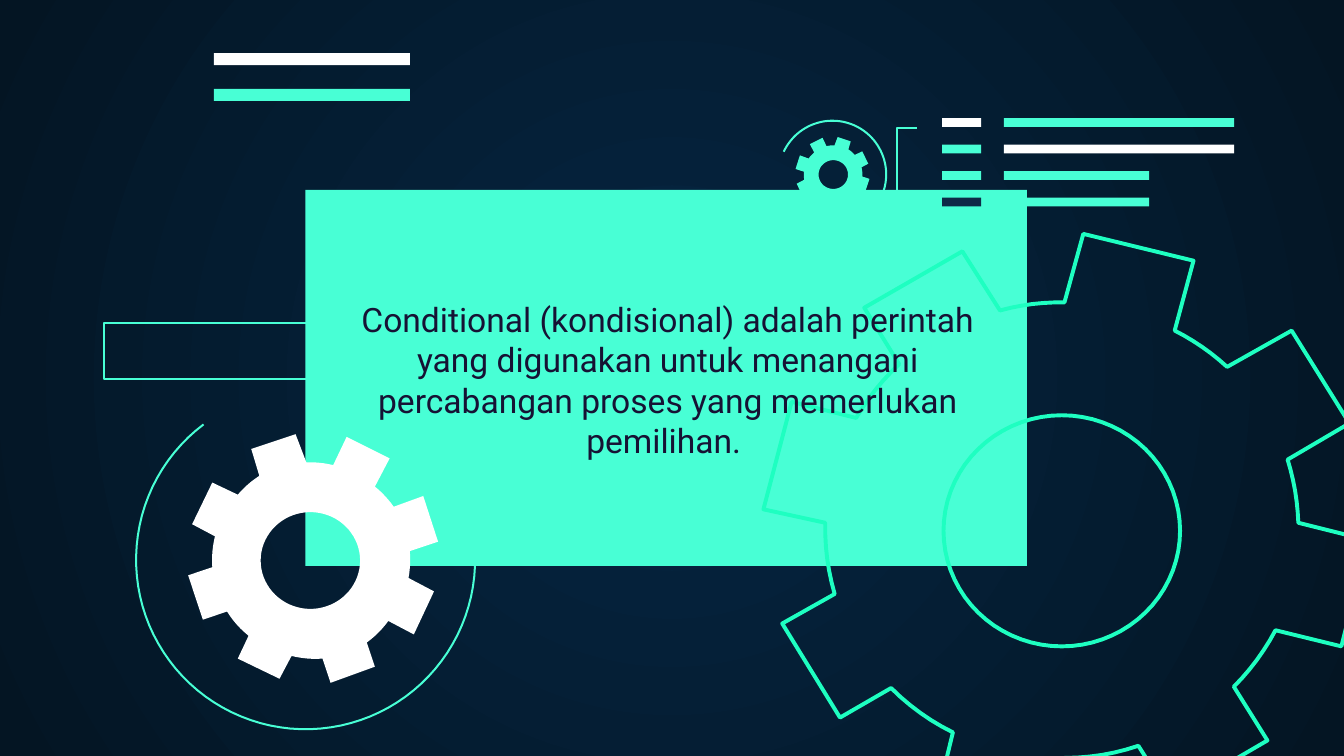
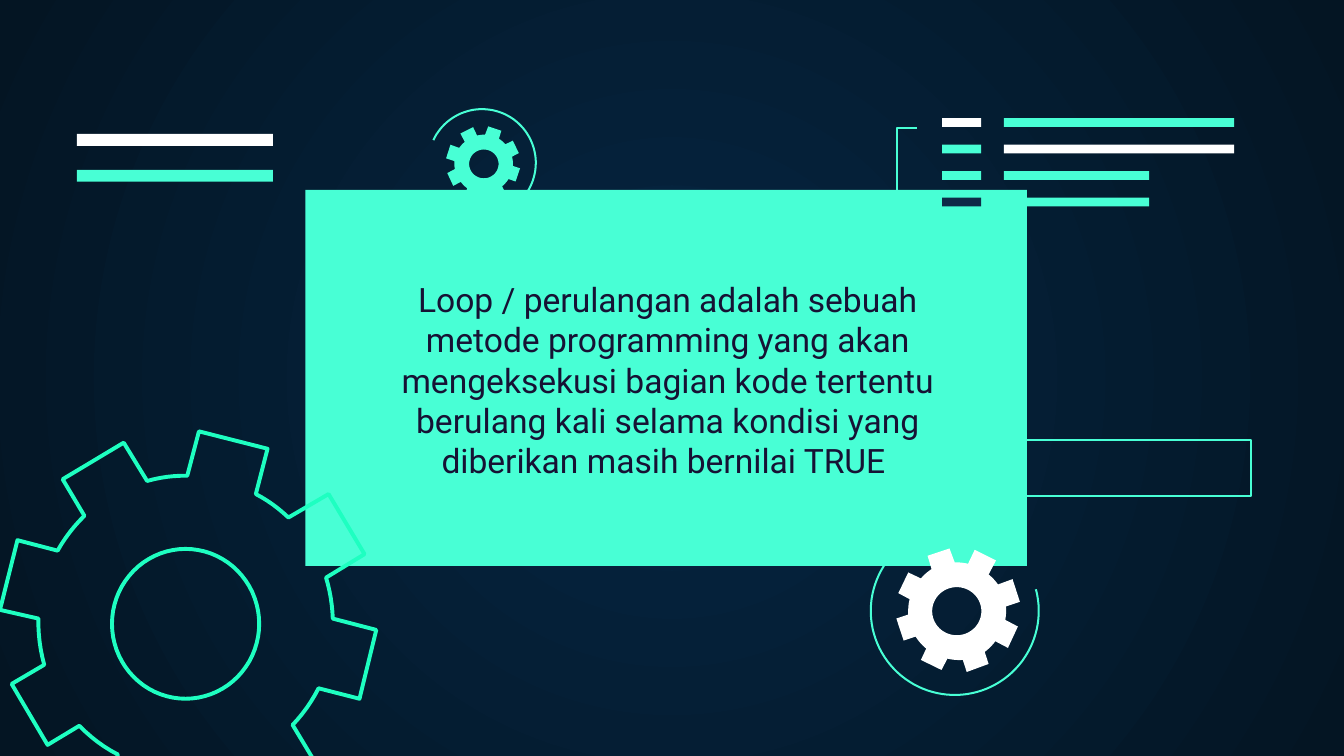
from math import atan2, cos, hypot, pi, radians, sin

from lxml import etree
from pptx import Presentation
from pptx.dml.color import RGBColor
from pptx.enum.shapes import MSO_SHAPE
from pptx.enum.text import MSO_ANCHOR, MSO_AUTO_SIZE, PP_ALIGN
from pptx.oxml.ns import qn
from pptx.util import Pt

RECTANGLE = MSO_SHAPE.RECTANGLE
CENTER, MIDDLE, NO_FIT = PP_ALIGN.CENTER, MSO_ANCHOR.MIDDLE, MSO_AUTO_SIZE.NONE

TEAL = RGBColor(0x48, 0xFF, 0xD5)
GREEN = RGBColor(0x1E, 0xFF, 0xC1)
WHITE = RGBColor(0xFF, 0xFF, 0xFF)
NAVY = RGBColor(0x0E, 0x2A, 0x47)
INK = RGBColor(0x16, 0x12, 0x34)
GLOW = RGBColor(0x05, 0x26, 0x43)
NIGHT = RGBColor(0x04, 0x15, 0x23)
FONT = "Roboto"
THIN, THICK = 1.09, 2.1

# Boxes are (left, top, width, height); arcs are (centre x, centre y, radius).
SLIDES = [
    {
        "text": "Conditional (kondisional) adalah perintah yang digunakan untuk "
                "menangani percabangan proses yang memerlukan pemilihan. ",
        "small_arc": (446, 93.5, 28.8),
        "large_arc": (163.7, 299.9, 90.8),
        "outline_gear": (409, 125.3, 324, 311),
        "white_gear": (100.8, 232.6, 133.9, 133.2),
        "small_gear": (426.2, 73.4, 39.6, 39.6),
        "stripes": (114.6, 28.5),
        "frame": (55.6, 173, 152, 30),
    },
    {
        "text": "Loop / perulangan adalah sebuah metode programming yang akan "
                "mengeksekusi bagian kode tertentu berulang kali selama kondisi "
                "yang diberikan masih bernilai TRUE ",
        "small_arc": (258.3, 87.3, 28.8),
        "large_arc": (511.5, 327.3, 45),
        "outline_gear": (0, 231.1, 201.6, 201.6),
        "white_gear": (480.2, 293.8, 66.2, 66.2),
        "small_gear": (239, 67.7, 39.6, 39.6),
        "stripes": (41.2, 71.8),
        "frame": (518.4, 235.8, 152, 30),
    },
]

PANEL = (163.6, 101.7, 386.6, 201.5)
TEXT_BOX = (185, 115.2, 345.6, 176.4)
BRACKET = [(491.6, 112.1), (480.5, 112.1), (480.5, 68.5), (491.2, 68.5)]
SMALL_ARC_ANGLES, LARGE_ARC_ANGLES = (-155, 96), (-15, 233)

CODE_LEFT, CODE_TOP, CODE_STEP, CODE_HEIGHT = (504.7, 537.8), 63.3, 14.2, 4.7
CODE_ROWS = [  # label colour, line colour, line width
    (WHITE, TEAL, 123.4),
    (TEAL, WHITE, 123.4),
    (TEAL, TEAL, 77.8),
    (NAVY, TEAL, 77.8),
]
LABEL_WIDTH = 20.9
STRIPE_WIDTH, STRIPE_HEIGHT, STRIPE_STEP = 105, 6.4, 19.2

# Each tooth runs root, tip, tip, root; the hole is centre and two radii.
LARGE_GEAR = {
    "size": (450, 432),
    "hole": (222, 221, 88, 86),
    "teeth": [
        [(381, 295), (430, 307), (450, 228), (398, 215)],
        [(390, 168), (436, 141), (393, 72), (345, 99)],
        [(306, 72), (320, 20), (238, 0), (224, 51)],
        [(176, 57), (148, 13), (75, 55), (101, 97)],
        [(69, 137), (21, 125), (0, 205), (46, 215)],
        [(53, 268), (14, 290), (57, 360), (95, 338)],
        [(141, 371), (131, 412), (213, 432), (224, 390)],
        [(279, 381), (303, 419), (375, 377), (350, 337)],
    ],
}
SOLID_GEAR = {
    "size": (186, 185),
    "hole": (91, 94, 37, 36),
    "teeth": [
        [(88, 21), (80, 0), (47, 11), (53, 31)],
        [(37, 45), (18, 36), (3, 67), (20, 76)],
        [(18, 99), (0, 105), (11, 138), (29, 132)],
        [(45, 150), (37, 167), (68, 182), (77, 165)],
        [(100, 167), (106, 185), (139, 173), (133, 155)],
        [(149, 139), (168, 149), (183, 117), (164, 107)],
        [(165, 87), (186, 80), (175, 46), (153, 54)],
        [(139, 39), (150, 18), (118, 2), (108, 23)],
    ],
}


def pts(values):
    return [Pt(v) for v in values]


def style(shape, fill=None, line=None, width=THIN):
    shape.shadow.inherit = False
    if fill is None:
        shape.fill.background()
    else:
        shape.fill.solid()
        shape.fill.fore_color.rgb = fill
    if line is None:
        shape.line.fill.background()
    else:
        shape.line.color.rgb = line
        shape.line.width = Pt(width)


def add_rect(s, box, fill=None, line=None):
    style(s.shapes.add_shape(RECTANGLE, *pts(box)), fill, line)


def add_outline(s, contours, closed=True, **look):
    """Draw one freeform from lists of points."""
    builder = None
    for contour in contours:
        start, *rest = [pts(point) for point in contour]
        if builder is None:
            builder = s.shapes.build_freeform(*start, scale=1.0)
        else:
            builder.move_to(*start)
        builder.add_line_segments(rest, close=closed)
    style(builder.convert_to_shape(), **look)


def ellipse_points(cx, cy, rx, ry, first, last, steps=72):
    angles = [radians(first + (last - first) * i / steps) for i in range(steps + 1)]
    return [(cx + rx * cos(a), cy + ry * sin(a)) for a in angles]


def add_arc(s, arc, angles):
    cx, cy, radius = arc
    add_outline(s, [ellipse_points(cx, cy, radius, radius, *angles)],
                closed=False, line=TEAL)


def root_curve(start, end, cx, cy, steps=6):
    """Points between two teeth, bent around the centre of the gear."""
    a, b = [atan2(y - cy, x - cx) for x, y in (start, end)]
    turn = (b - a + pi) % (2 * pi) - pi
    r0, r1 = [hypot(x - cx, y - cy) for x, y in (start, end)]
    curve = []
    for i in range(1, steps):
        t = i / steps
        radius, angle = r0 + (r1 - r0) * t, a + turn * t
        curve.append((cx + radius * cos(angle), cy + radius * sin(angle)))
    return curve


def add_gear(s, gear, box, mirrored=False, **look):
    left, top, width, height = box
    w, h = gear["size"]
    cx, cy, rx, ry = gear["hole"]
    teeth = gear["teeth"]
    rim = []
    for tooth, following in zip(teeth, teeth[1:] + teeth[:1]):
        rim += tooth + root_curve(tooth[-1], following[0], cx, cy)
    hole = ellipse_points(cx, cy, rx, ry, 0, 360)[:-1]
    contours = [[(left + (w - x if mirrored else x) * width / w,
                  top + y * height / h) for x, y in contour]
                for contour in (rim, hole)]
    add_outline(s, contours, **look)


def add_code_lines(s):
    for i, (label, line, width) in enumerate(CODE_ROWS):
        top = CODE_TOP + i * CODE_STEP
        for left, w, color in zip(CODE_LEFT, (LABEL_WIDTH, width), (label, line)):
            add_rect(s, (left, top, w, CODE_HEIGHT), color)


def add_stripes(s, left, top):
    for i, color in enumerate((WHITE, TEAL)):
        add_rect(s, (left, top + i * STRIPE_STEP, STRIPE_WIDTH, STRIPE_HEIGHT), color)


def set_text(sp, text):
    sp.left, sp.top, sp.width, sp.height = pts(TEXT_BOX)
    tf = sp.text_frame
    tf.word_wrap = True
    tf.auto_size = NO_FIT
    tf.vertical_anchor = MIDDLE
    tf.margin_left = tf.margin_right = tf.margin_top = tf.margin_bottom = Pt(7.2)
    p = tf.paragraphs[0]
    p.text = text
    p.alignment = CENTER
    p.space_before = Pt(0)
    p.font.name, p.font.size, p.font.color.rgb = FONT, Pt(18), INK
    sp.element.getparent().append(sp.element)  # bring to front


def set_background(master):
    fill = master.background.fill
    fill.gradient()
    for stop, position, color in zip(fill.gradient_stops, (0, 1), (GLOW, NIGHT)):
        stop.position = position
        stop.color.rgb = color
    grad = master.element.find(".//" + qn("a:gradFill"))
    grad.remove(grad.find(qn("a:lin")))
    radial = etree.SubElement(grad, qn("a:path"), path="circle")
    etree.SubElement(radial, qn("a:fillToRect"), {side: "50000" for side in "ltrb"})


def add_slide(prs, content):
    s = prs.slides.add_slide(prs.slide_layouts[0])
    title = s.shapes.title.element
    title.getparent().remove(title)
    add_rect(s, PANEL, TEAL)
    add_arc(s, content["small_arc"], SMALL_ARC_ANGLES)
    add_arc(s, content["large_arc"], LARGE_ARC_ANGLES)
    add_gear(s, LARGE_GEAR, content["outline_gear"], line=GREEN, width=THICK)
    add_gear(s, SOLID_GEAR, content["white_gear"], fill=WHITE)
    add_gear(s, SOLID_GEAR, content["small_gear"], mirrored=True, fill=TEAL)
    add_code_lines(s)
    add_outline(s, [BRACKET], closed=False, line=TEAL)
    add_stripes(s, *content["stripes"])
    add_rect(s, content["frame"], line=TEAL)
    set_text(s.placeholders[1], content["text"])


def main():
    prs = Presentation()
    prs.slide_width, prs.slide_height = Pt(720), Pt(405)
    set_background(prs.slide_master)
    for content in SLIDES:
        add_slide(prs, content)
    prs.save("out.pptx")


if __name__ == "__main__":
    main()
